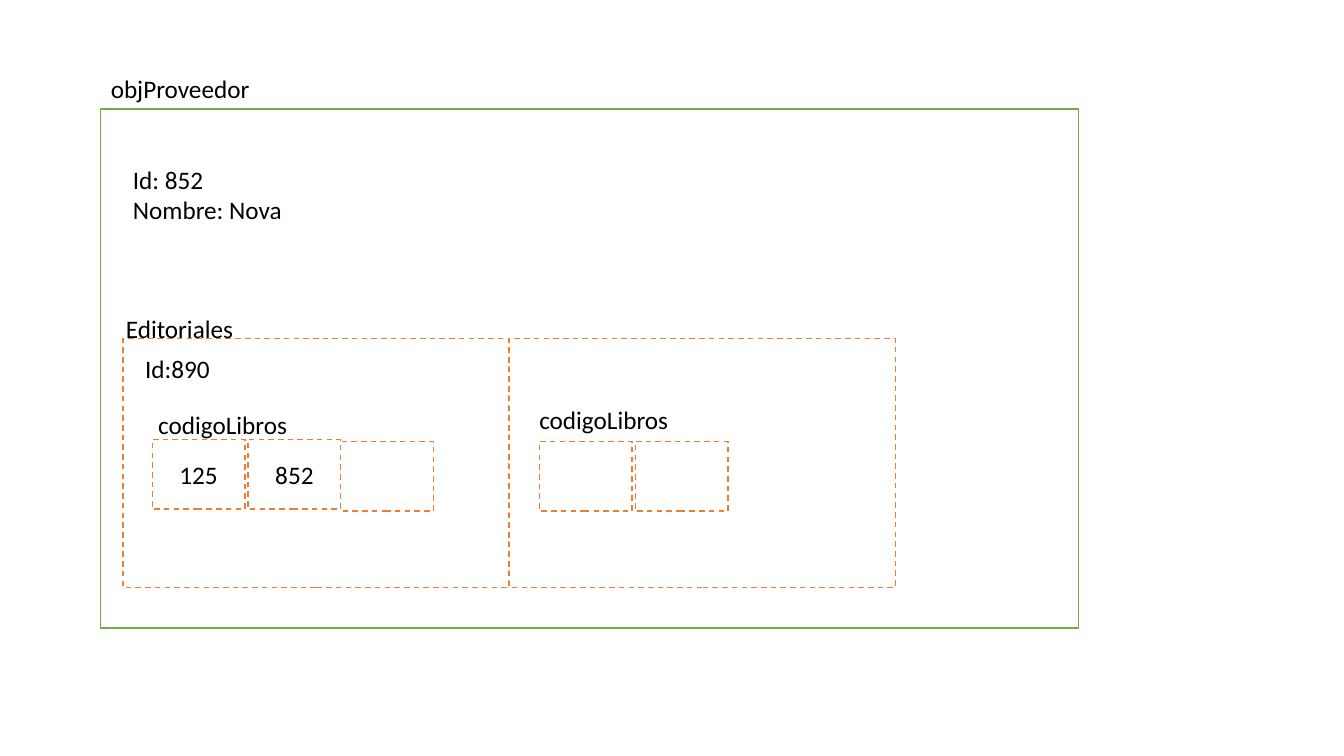
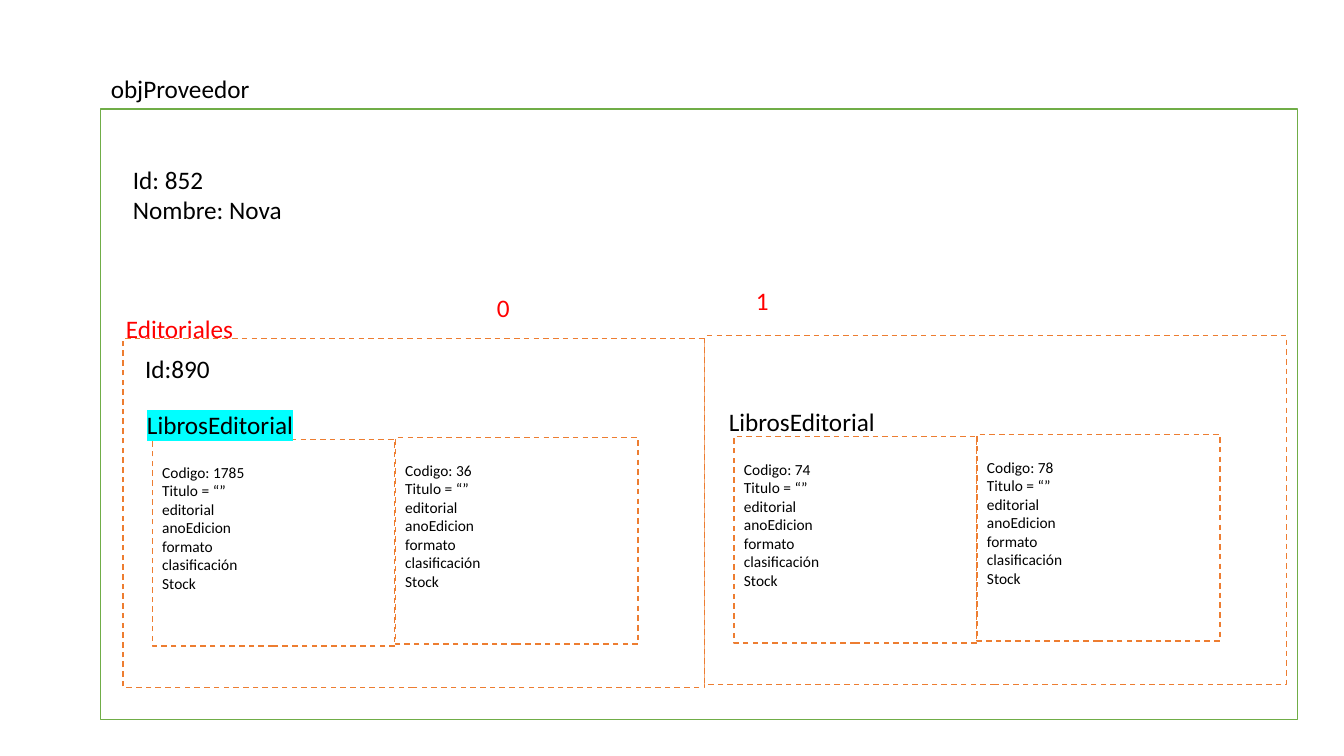
from lxml import etree
from pptx import Presentation
from pptx.dml.color import RGBColor
from pptx.enum.dml import MSO_LINE
from pptx.enum.shapes import MSO_SHAPE
from pptx.enum.text import MSO_ANCHOR, MSO_AUTO_SIZE, PP_ALIGN
from pptx.oxml.ns import qn
from pptx.util import Inches, Pt

RECTANGLE = MSO_SHAPE.RECTANGLE
DASH = MSO_LINE.DASH
MIDDLE = MSO_ANCHOR.MIDDLE
LEFT, CENTER = PP_ALIGN.LEFT, PP_ALIGN.CENTER
GROW = MSO_AUTO_SIZE.SHAPE_TO_FIT_TEXT

BLACK, WHITE, RED = "000000", "FFFFFF", "FF0000"
GREEN, ORANGE, CYAN = "70AD47", "ED7D31", "00FFFF"
BOOK_FIELDS = ["Titulo = “”", "editorial", "anoEdicion", "formato",
               "clasificación", "Stock"]


def color(hex_value):
    return RGBColor.from_string(hex_value)


class Diagram:
    font = "Calibri"
    text_size = 18
    book_size = 11
    line_height = 0.3

    def __init__(self):
        self.deck = Presentation()
        self.deck.slide_width = Inches(13.33)
        self.deck.slide_height = Inches(7.5)
        self.page = None

    def add_page(self):
        self.page = self.deck.slides.add_slide(self.deck.slide_layouts[6])

    def add_lines(self, frame, lines, size=text_size, ink=BLACK, align=LEFT, highlight=None):
        for index, line in enumerate(lines):
            para = frame.paragraphs[0] if index == 0 else frame.add_paragraph()
            para.alignment = align
            span = para.add_run()
            span.text = line
            span.font.name = self.font
            span.font.size = Pt(size)
            span.font.color.rgb = color(ink)
            if highlight:
                self.mark(span, highlight)

    def mark(self, span, hex_value):
        """Put a highlight behind a run whose colour is already set."""
        highlight = etree.Element(qn("a:highlight"))
        etree.SubElement(highlight, qn("a:srgbClr"), val=hex_value)
        span._r.get_or_add_rPr().find(qn("a:solidFill")).addnext(highlight)

    def label(self, left, top, width, *lines, **style):
        height = 0.1 + self.line_height * len(lines)
        box = self.page.shapes.add_textbox(
            Inches(left), Inches(top), Inches(width), Inches(height))
        box.text_frame.word_wrap = False
        box.text_frame.auto_size = GROW
        self.add_lines(box.text_frame, lines, **style)

    def outline(self, left, top, width, height, line=ORANGE, dash=DASH):
        box = self.page.shapes.add_shape(
            RECTANGLE, Inches(left), Inches(top), Inches(width), Inches(height))
        box.shadow.inherit = False
        box.fill.solid()
        box.fill.fore_color.rgb = color(WHITE)
        box.line.color.rgb = color(line)
        box.line.width = Pt(1)
        box.line.dash_style = dash
        box.text_frame.vertical_anchor = MIDDLE
        return box

    def cell(self, left, top, code):
        box = self.outline(left, top, 0.92, 0.69)
        if code:
            self.add_lines(box.text_frame, [code], align=CENTER)

    def book(self, left, top, code):
        frame = self.outline(left, top, 2.41, 2.05).text_frame
        frame.word_wrap = True
        frame.margin_bottom = Inches(0.05 + self.line_height)
        self.add_lines(frame, [f"Codigo: {code}", *BOOK_FIELDS], size=self.book_size)

    def provider(self, width, height):
        self.outline(1, 1.08, width, height, GREEN, None)
        self.label(1, 0.68, 1.59, "objProveedor")
        self.label(1.22, 1.58, 1.7, "Id: 852", "Nombre: Nova")

    def publisher_labels(self, ink):
        self.label(1.15, 3.06, 1.28, "Editoriales", ink=ink)
        self.label(1.34, 3.46, 0.85, "Id:890")

    def publisher(self, left, top, codes, highlight=None):
        """Draw a publisher panel with its row of book cards."""
        self.outline(left, top, 5.77, 3.46)
        for index, code in enumerate(codes):
            self.book(left + 0.29 + 2.41 * index, top + 1 - 0.02 * index, code)
        self.label(left + 0.14, top + 0.65, 1.66, "LibrosEditorial", highlight=highlight)


def code_page(diagram):
    diagram.add_page()
    diagram.provider(9.7, 5.15)
    for left in (1.22, 5.05):
        diagram.outline(left, 3.36, 3.83, 2.47)
    diagram.publisher_labels(BLACK)
    for left, top, code in ((1.51, 4.36, "125"), (2.46, 4.36, "852"),
                            (3.38, 4.38, ""), (5.35, 4.38, ""), (6.3, 4.38, "")):
        diagram.cell(left, top, code)
    for left, top in ((1.47, 4.01), (5.25, 3.96)):
        diagram.label(left, top, 1.49, "codigoLibros")


def book_page(diagram):
    diagram.add_page()
    diagram.provider(11.87, 6.06)
    diagram.publisher(1.22, 3.36, (1785, 36), CYAN)
    diagram.publisher(6.99, 3.33, (74, 78))
    diagram.publisher_labels(RED)
    for left, top, position in ((4.83, 2.85, "0"), (7.4, 2.78, "1")):
        diagram.label(left, top, 0.33, position, ink=RED)


def main():
    diagram = Diagram()
    code_page(diagram)
    book_page(diagram)
    diagram.deck.save("out.pptx")


if __name__ == "__main__":
    main()
